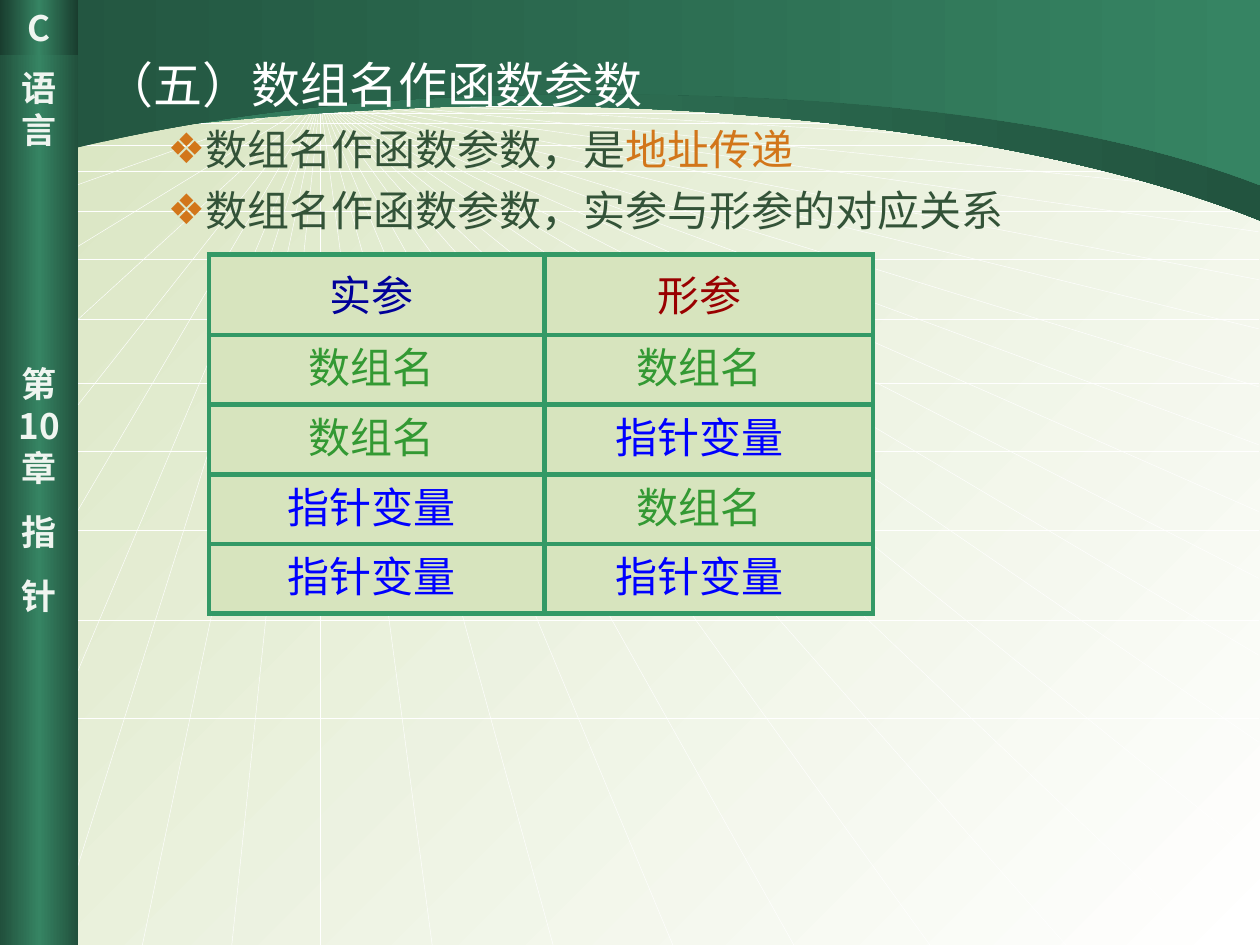
from copy import deepcopy
from dataclasses import dataclass

from lxml.etree import SubElement
from pptx import Presentation
from pptx.dml.color import RGBColor
from pptx.enum.shapes import MSO_CONNECTOR, MSO_SHAPE
from pptx.enum.text import MSO_ANCHOR, MSO_AUTO_SIZE, PP_ALIGN
from pptx.oxml.ns import qn
from pptx.util import Inches, Pt


@dataclass(frozen=True)
class Theme:
    body_font: str = "Times New Roman"
    side_font: str = "Noto Sans CJK SC"
    title_size: int = 28
    body_size: int = 24
    side_size: int = 20
    white: str = "FFFFFF"
    pale: str = "D7E4BE"
    dark: str = "22543F"
    green: str = "368463"
    side_edge: str = "21503C"
    label_edge: str = "193D2E"
    side_text: str = "EFF5F0"
    body_text: str = "335338"
    accent: str = "D2761A"
    border: str = "339966"
    navy: str = "000099"
    red: str = "990000"
    array: str = "339933"
    pointer: str = "0000FF"


THEME = Theme()
HUB = (2.54, 0.78)
RIGHT_ENDS = [5.89, 6.8, 5.2, 4.59, 4.06, 3.53, 3.07, 2.61, 2.22, 1.84, 1.54, 1.23, 1]
BOTTOM_ENDS = [9.6, 8.46, 7.38, 6.3, 5.34, 4.39, 3.43, 2.54, 1.84, 1.13, 0.42]
LEFT_ENDS = [6.81, 5.12, 4.01, 3.11, 2.34, 1.69, 1.16, 0.97, 0.78]
HORIZON_LINES = [5.7, 4.92, 4.21, 3.58, 3.04, 2.53, 2.06, 1.68, 1.36, 1.15, 0.98, 0.9, 0.84]
LOWER_WAVE = [(0, 1.19), (0.12, 1.18), (1.34, 0.93), (3.48, 0.85),
              (5.62, 0.78), (8.32, 1.06), (10.01, 1.75)]
UPPER_WAVE = [(0, 1.33), (0.12, 1.31), (1.52, 0.85), (3.65, 0.77),
              (5.78, 0.69), (8.32, 0.81), (10.01, 1.47)]


def apply_format(target, values):
    for name, value in values.items():
        setattr(target, name, value)


def place(shape, box):
    names = ("left", "top", "width", "height")
    apply_format(shape, dict(zip(names, map(Inches, box))))


def add_run(paragraph, text, size, color, font=THEME.body_font, bold=False):
    run = paragraph.add_run()
    run.text = text
    apply_format(run.font, {"name": font, "size": Pt(size), "bold": bold})
    run.font.color.rgb = RGBColor.from_string(color)


def apply_gradient(fill, element, colors, angle=0):
    fill.gradient()
    fill.gradient_angle = angle
    stop_list = element.xpath(".//a:gsLst")[0]
    for _ in colors[2:]:
        stop_list.append(deepcopy(stop_list[0]))
    for index, (stop, color) in enumerate(zip(fill.gradient_stops, colors)):
        stop.color.rgb = RGBColor.from_string(color)
        stop.position = index / (len(colors) - 1)


def finish_shape(shape, colors):
    shape.shadow.inherit = False
    shape.line.fill.background()
    apply_gradient(shape.fill, shape.element, colors)


def add_rays(slide, box):
    left, top, width, height = box
    right, bottom = left + width, top + height
    ends = [(right, y) for y in RIGHT_ENDS]
    ends += [(x, bottom) for x in BOTTOM_ENDS]
    ends += [(left, y) for y in LEFT_ENDS]
    segments = [(HUB, end) for end in ends]
    segments += [((left, y), (right, y)) for y in HORIZON_LINES]
    group = slide.shapes.add_group_shape()
    for start, end in segments:
        points = map(Inches, (*start, *end))
        line = group.shapes.add_connector(MSO_CONNECTOR.STRAIGHT, *points)
        line.line.width = Pt(0.25)
        line.line.color.rgb = RGBColor.from_string(THEME.white)
        SubElement(line.element.spPr, qn("a:effectLst"))


def add_wave(slide, box, controls, colors):
    left, top, width = box
    points = [(left + x, top + y) for x, y in controls] + [(left + width, top)]
    builder = slide.shapes.build_freeform(Inches(left), Inches(top))
    builder.add_line_segments([(Inches(x), Inches(y)) for x, y in points])
    shape = builder.convert_to_shape()
    outline = shape.element.xpath(".//a:path")[0]
    lines = outline.findall(qn("a:lnTo"))[1:len(controls)]
    for first in range(0, len(lines), 3):
        curve = SubElement(outline, qn("a:cubicBezTo"))
        lines[first].addprevious(curve)
        for line in lines[first:first + 3]:
            curve.append(line[0])
            outline.remove(line)
    finish_shape(shape, colors)


def add_side_panel(slide, box, edge, top_margin, entries):
    panel = slide.shapes.add_shape(MSO_SHAPE.RECTANGLE, *map(Inches, box))
    finish_shape(panel, (edge, THEME.green, edge))
    frame = panel.text_frame
    apply_format(frame, {"word_wrap": True, "vertical_anchor": MSO_ANCHOR.TOP,
                         "margin_top": Inches(top_margin)})
    for index, (text, space) in enumerate(entries):
        paragraph = frame.add_paragraph() if index else frame.paragraphs[0]
        apply_format(paragraph, {"alignment": PP_ALIGN.CENTER, "space_before": Pt(space)})
        add_run(paragraph, text, THEME.side_size, THEME.side_text, THEME.side_font, True)


def prepare_placeholder(shape, box):
    place(shape, box)
    apply_format(shape.text_frame, {"auto_size": MSO_AUTO_SIZE.NONE, "word_wrap": True,
                                    "vertical_anchor": MSO_ANCHOR.TOP})
    shape.element.getparent().append(shape.element)
    return shape.text_frame


def add_title(slide, box, text):
    paragraph = prepare_placeholder(slide.shapes.title, box).paragraphs[0]
    apply_format(paragraph, {"alignment": PP_ALIGN.LEFT, "space_before": Pt(0)})
    add_run(paragraph, text, THEME.title_size, THEME.white)


def add_bullets(slide, box, items):
    frame = prepare_placeholder(slide.placeholders[1], box)
    for index, runs in enumerate(items):
        paragraph = frame.add_paragraph() if index else frame.paragraphs[0]
        properties = paragraph._p.get_or_add_pPr()
        properties.set("marL", str(Inches(0.25)))
        properties.set("indent", str(-Inches(0.25)))
        bullet_color = SubElement(properties, qn("a:buClr"))
        SubElement(bullet_color, qn("a:srgbClr")).set("val", THEME.accent)
        SubElement(properties, qn("a:buChar")).set("char", "❖")
        paragraph.space_before = Pt(6 if index else 0)
        for text, color in runs:
            add_run(paragraph, text, THEME.body_size, color)


def add_borders(cell):
    properties = cell._tc.get_or_add_tcPr()
    for side in ("a:lnL", "a:lnR", "a:lnT", "a:lnB"):
        border = SubElement(properties, qn(side))
        border.set("w", str(Pt(3)))
        fill = SubElement(border, qn("a:solidFill"))
        SubElement(fill, qn("a:srgbClr")).set("val", THEME.border)


def add_argument_table(slide, box, rows):
    table = slide.shapes.add_table(len(rows), 2, *map(Inches, box)).table
    apply_format(table, {"first_row": False, "horz_banding": False})
    header_height = 0.64
    row_height = (box[3] - header_height) / (len(rows) - 1)
    for column, width in zip(table.columns, (2.66, box[2] - 2.66)):
        column.width = Inches(width)
    for row_index, values in enumerate(rows):
        table.rows[row_index].height = Inches(row_height if row_index else header_height)
        for column_index, (text, color) in enumerate(values):
            cell = table.cell(row_index, column_index)
            add_borders(cell)
            cell.fill.solid()
            cell.fill.fore_color.rgb = RGBColor.from_string(THEME.pale)
            apply_format(cell, {"vertical_anchor": MSO_ANCHOR.TOP if row_index else MSO_ANCHOR.MIDDLE,
                                "margin_left": Inches(0.05),
                                "margin_right": Inches((0.14, 0.2)[column_index]),
                                "margin_top": Inches(0), "margin_bottom": Inches(0.02)})
            paragraph = cell.text_frame.paragraphs[0]
            paragraph.alignment = PP_ALIGN.CENTER
            add_run(paragraph, text, THEME.body_size, color)


def main():
    presentation = Presentation()
    apply_format(presentation, {"slide_width": Inches(10), "slide_height": Inches(7.5)})
    slide = presentation.slides.add_slide(presentation.slide_layouts[1])
    apply_gradient(slide.background.fill, slide.element, (THEME.pale, THEME.white), 315)
    add_rays(slide, (-0.01, 0, 10, 7.5))
    add_wave(slide, (-0.01, 0, 10.01), LOWER_WAVE, (THEME.green, THEME.dark))
    add_wave(slide, (-0.01, 0, 10.01), UPPER_WAVE, (THEME.dark, THEME.green))
    add_side_panel(slide, (0, 0, 0.62, 7.5), THEME.side_edge, 0.53,
                   [("语言", 0), ("第 10 章", 121), ("指", 12.5), ("针", 12.5)])
    add_side_panel(slide, (0, 0, 0.62, 0.44), THEME.label_edge, 0.05, [("C", 0)])
    add_title(slide, (0.73, 0.38, 8.94, 0.57), "（五）数组名作函数参数")
    add_bullets(slide, (1.23, 0.93, 8.44, 1.05), [
        [("数组名作函数参数，是", THEME.body_text), ("地址传递", THEME.accent)],
        [("数组名作函数参数，实参与形参的对应关系", THEME.body_text)],
    ])
    array, pointer = ("数组名", THEME.array), ("指针变量", THEME.pointer)
    add_argument_table(slide, (1.66, 2.02, 5.27, 2.85), [
        (("实参", THEME.navy), ("形参", THEME.red)),
        (array, array), (array, pointer), (pointer, array), (pointer, pointer),
    ])
    presentation.save("out.pptx")


if __name__ == "__main__":
    main()
